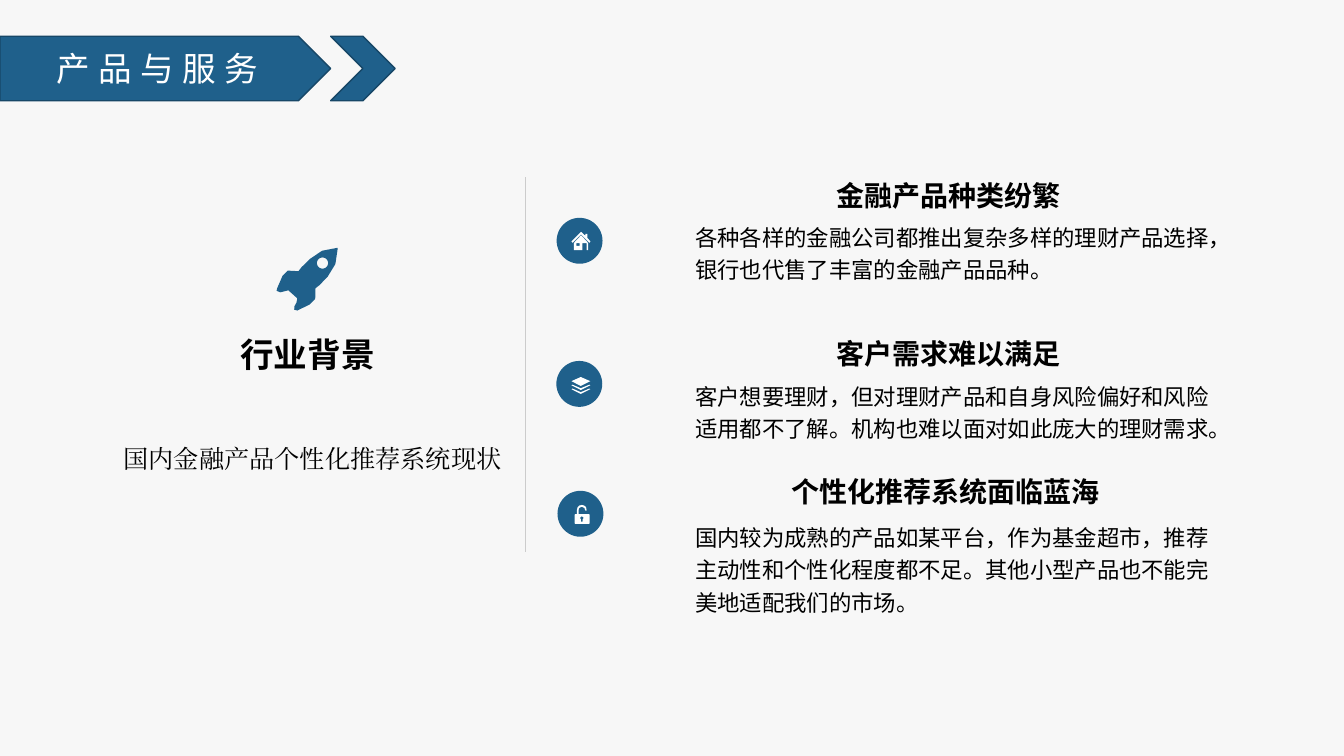
import math

import pptx
import pptx.dml.color
import pptx.enum.shapes
import pptx.enum.text
import pptx.oxml
import pptx.oxml.ns
import pptx.util

Pt = pptx.util.Pt
RGBColor = pptx.dml.color.RGBColor
MSO_SHAPE = pptx.enum.shapes.MSO_SHAPE
PP_ALIGN = pptx.enum.text.PP_ALIGN

BLUE = RGBColor(0x1F, 0x60, 0x8B)
DARK_BLUE = RGBColor(0x17, 0x47, 0x67)
GRAY = RGBColor(0xCC, 0xCC, 0xCC)
BACKGROUND = RGBColor(0xF7, 0xF7, 0xF7)
BLACK = RGBColor(0, 0, 0)
WHITE = RGBColor(0xFF, 0xFF, 0xFF)
SANS = "Noto Sans CJK SC"
SERIF = "Times New Roman"


def write_text(shape, text, size, color=BLACK, bold=False, font=SANS,
               align=PP_ALIGN.LEFT, line_spacing=1.0, wrap=True):
    text_frame = shape.text_frame
    text_frame.text = text
    text_frame.word_wrap = wrap
    paragraph = text_frame.paragraphs[0]
    paragraph.alignment = align
    paragraph.line_spacing = line_spacing
    run = paragraph.runs[0]
    run.font.size = Pt(size)
    run.font.bold = bold
    run.font.name = font
    run.font.color.rgb = color
    east_asian = pptx.oxml.parse_xml(
        f'<a:ea {pptx.oxml.ns.nsdecls("a")} typeface="{font}"/>')
    run.font._element.append(east_asian)
    return run


def draw_icon(left, top, color, contours):
    outlines = [[(Pt(left + x), Pt(top + y)) for x, y in contour] for contour in contours]
    builder = slide.shapes.build_freeform(*outlines[0][0])
    for outline in outlines:
        if outline is not outlines[0]:
            builder.move_to(*outline[0])
        builder.add_line_segments(outline[1:], close=True)
    icon = builder.convert_to_shape()
    icon.shadow.inherit = False
    icon.fill.solid()
    icon.fill.fore_color.rgb = color
    icon.line.fill.background()


presentation = pptx.Presentation()
presentation.slide_width = Pt(960)
presentation.slide_height = Pt(540)
slide = presentation.slides.add_slide(presentation.slide_layouts[5])
slide.background.fill.solid()
slide.background.fill.fore_color.rgb = BACKGROUND

for kind, left, width in ((MSO_SHAPE.PENTAGON, 0, 236.2), (MSO_SHAPE.CHEVRON, 236.2, 46.1)):
    banner = slide.shapes.add_shape(kind, Pt(left), Pt(25.9), Pt(width), Pt(46.1))
    banner.shadow.inherit = False
    banner.fill.solid()
    banner.fill.fore_color.rgb = BLUE
    banner.line.color.rgb = DARK_BLUE
    banner.line.width = Pt(1)

title = slide.shapes.title
title.left, title.top, title.width, title.height = Pt(0), Pt(25.9), Pt(224.6), Pt(46.1)
title_run = write_text(title, "产品与服务", 24, color=WHITE, align=PP_ALIGN.CENTER)
title_run.font._element.set("spc", "600")
title.text_frame.auto_size = pptx.enum.text.MSO_AUTO_SIZE.NONE
title.text_frame.vertical_anchor = pptx.enum.text.MSO_ANCHOR.MIDDLE
title.element.getparent().append(title.element)

rocket_body = [
    (28.8, 30.2), (31.6, 28), (37.5, 21.9), (43, 12.9), (44.6, 2.2), (44.6, 1.4),
    (43.9, 1.4), (33.5, 3.4), (24.9, 9.2), (18.8, 15.2), (16.6, 18), (9, 17.6),
    (5.2, 21.4), (1.4, 30.2), (1, 32), (3.6, 33.1), (9.4, 31.7), (15.8, 37.4),
    (15.2, 40.5), (13.7, 43.2), (13.6, 45.5), (15.8, 46.1), (24.6, 41.8), (28.6, 37.8),
]
rocket_window = [
    (33.8 + 4 * math.cos(step * math.pi / 12), 12.2 + 4 * math.sin(step * math.pi / 12))
    for step in range(24)
]
draw_icon(196.6, 175.7, BLUE, [rocket_body, rocket_window])

heading = slide.shapes.add_textbox(Pt(9.4), Pt(234.7), Pt(420.5), Pt(43.2))
write_text(heading, "行业背景", 24, bold=True, align=PP_ALIGN.CENTER, wrap=False)
subtitle = slide.shapes.add_textbox(Pt(54), Pt(308.9), Pt(338.4), Pt(61.9))
write_text(subtitle, "国内金融产品个性化推荐系统现状", 18, font=SERIF,
           align=PP_ALIGN.CENTER, line_spacing=1.2)

divider = slide.shapes.add_connector(
    pptx.enum.shapes.MSO_CONNECTOR.STRAIGHT, Pt(375.1), Pt(126.7), Pt(375.1), Pt(394.6))
divider.line.color.rgb = GRAY
divider.line.width = Pt(0.5)
divider.element.spPr.append(
    pptx.oxml.parse_xml(f'<a:effectLst {pptx.oxml.ns.nsdecls("a")}/>'))

house = [
    [(0, 6.8), (6.9, 0), (9.9, 2.8), (9.9, 1.5), (11.4, 1.5), (11.4, 4.4), (13.6, 6.8),
     (12.9, 7.8), (6.9, 1.8), (0.8, 7.8)],
    [(6.9, 2.5), (12, 8), (12, 13), (10.8, 13), (10.8, 8), (7.9, 8), (7.9, 13),
     (1.7, 13), (1.7, 8)],
    [(3.6, 8), (3.6, 10.1), (5.8, 10.1), (5.8, 8)],
]
layers = [[(0, 3), (6.7, 0), (13.5, 3), (6.7, 6.4)]] + [
    [(0, 5.9 + drop), (0.8, 5.5 + drop), (6.7, 8 + drop), (12.8, 5.5 + drop),
     (13.5, 5.9 + drop), (6.7, 9.3 + drop)]
    for drop in (0, 2.8)
]
padlock = [
    [(0.5, 13.5), (0, 13), (0, 7), (0.5, 6.5), (1.7, 6.5), (1.7, 3.6), (2.2, 1.6),
     (3.5, 0.4), (5.2, 0), (6.9, 0.4), (8.2, 1.6), (8.6, 3.6), (8.2, 4.3), (7.5, 3.6),
     (7.1, 2.2), (5.2, 1.3), (3.4, 2.1), (2.9, 3.6), (2.9, 6.5), (10.3, 6.5),
     (10.8, 7), (10.8, 13), (10.3, 13.5)],
    [(5.2, 8), (6.6, 9.2), (5.8, 10.3), (5.8, 12), (4.6, 12), (4.6, 10.3), (3.8, 9.2)],
]

points = [
    ("金融产品种类纷繁", 590.4, 123.8, 177,
     "各种各样的金融公司都推出复杂多样的理财产品选择，银行也代售了丰富的金融产品品种。",
     152.6, 41, 397.6, 155.6, house, 408.2, 165.6),
    ("客户需求难以满足", 590.4, 236.9, 177,
     "客户想要理财，但对理财产品和自身风险偏好和风险适用都不了解。机构也难以面对如此庞大的理财需求。",
     266.4, 41, 397.4, 257.8, layers, 408.2, 269.3),
    ("个性化推荐系统面临蓝海", 558, 335.5, 237,
     "国内较为成熟的产品如某平台，作为基金超市，推荐主动性和个性化程度都不足。其他小型产品也不能完美地适配我们的市场。",
     367.2, 74.9, 398.2, 350.6, padlock, 410.4, 360.7),
]
for (name, name_left, name_top, name_width, detail, detail_top, detail_height,
     circle_left, circle_top, contours, icon_left, icon_top) in points:
    name_box = slide.shapes.add_textbox(Pt(name_left), Pt(name_top), Pt(name_width), Pt(31))
    write_text(name_box, name, 20, bold=True, wrap=False)
    detail_box = slide.shapes.add_textbox(
        Pt(489.6), Pt(detail_top), Pt(396.7), Pt(detail_height))
    write_text(detail_box, detail, 16, line_spacing=1.2)
    circle = slide.shapes.add_shape(
        MSO_SHAPE.OVAL, Pt(circle_left), Pt(circle_top), Pt(32.8), Pt(32.8))
    circle.shadow.inherit = False
    circle.fill.solid()
    circle.fill.fore_color.rgb = BLUE
    circle.line.fill.background()
    draw_icon(icon_left, icon_top, WHITE, contours)

presentation.save("out.pptx")
